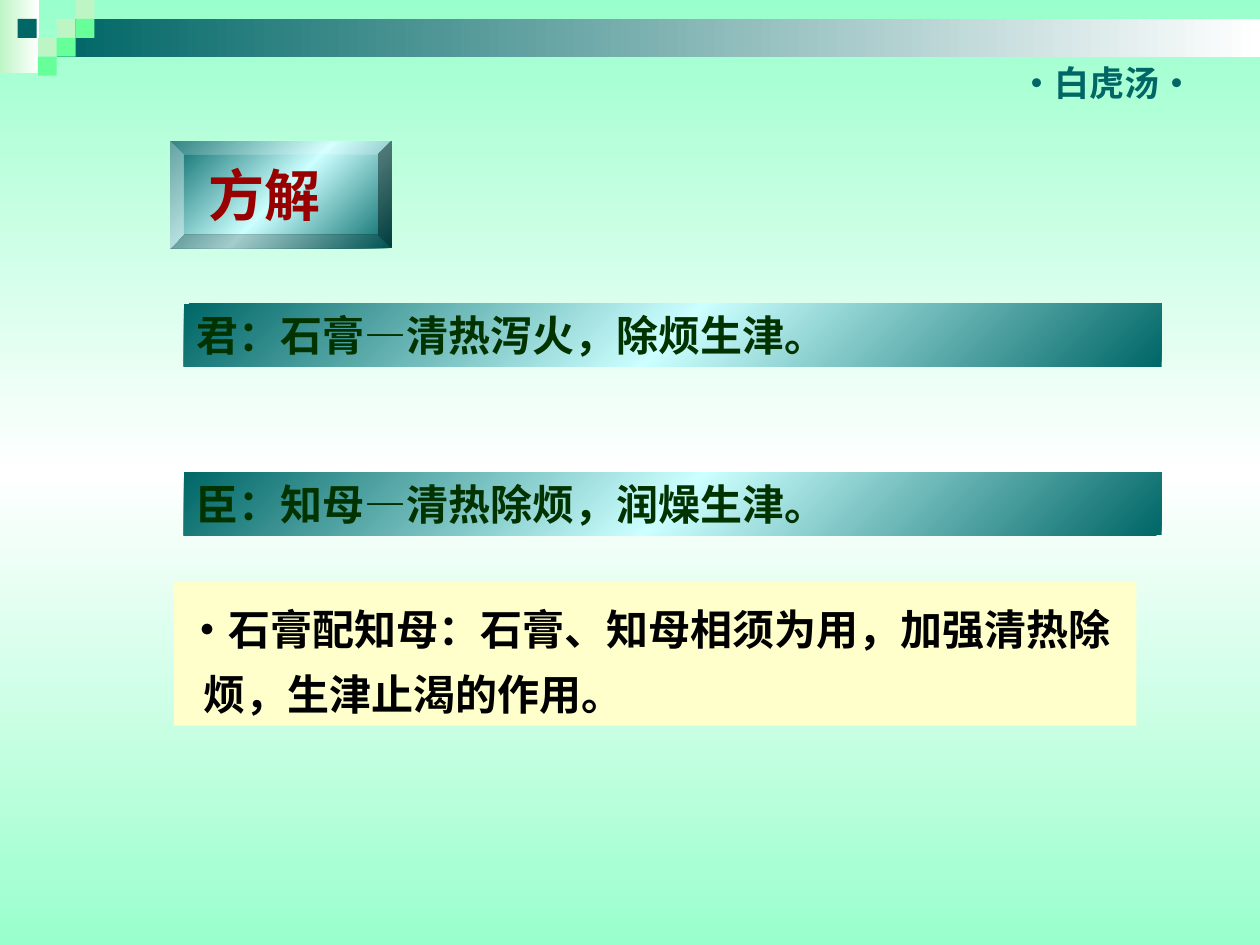
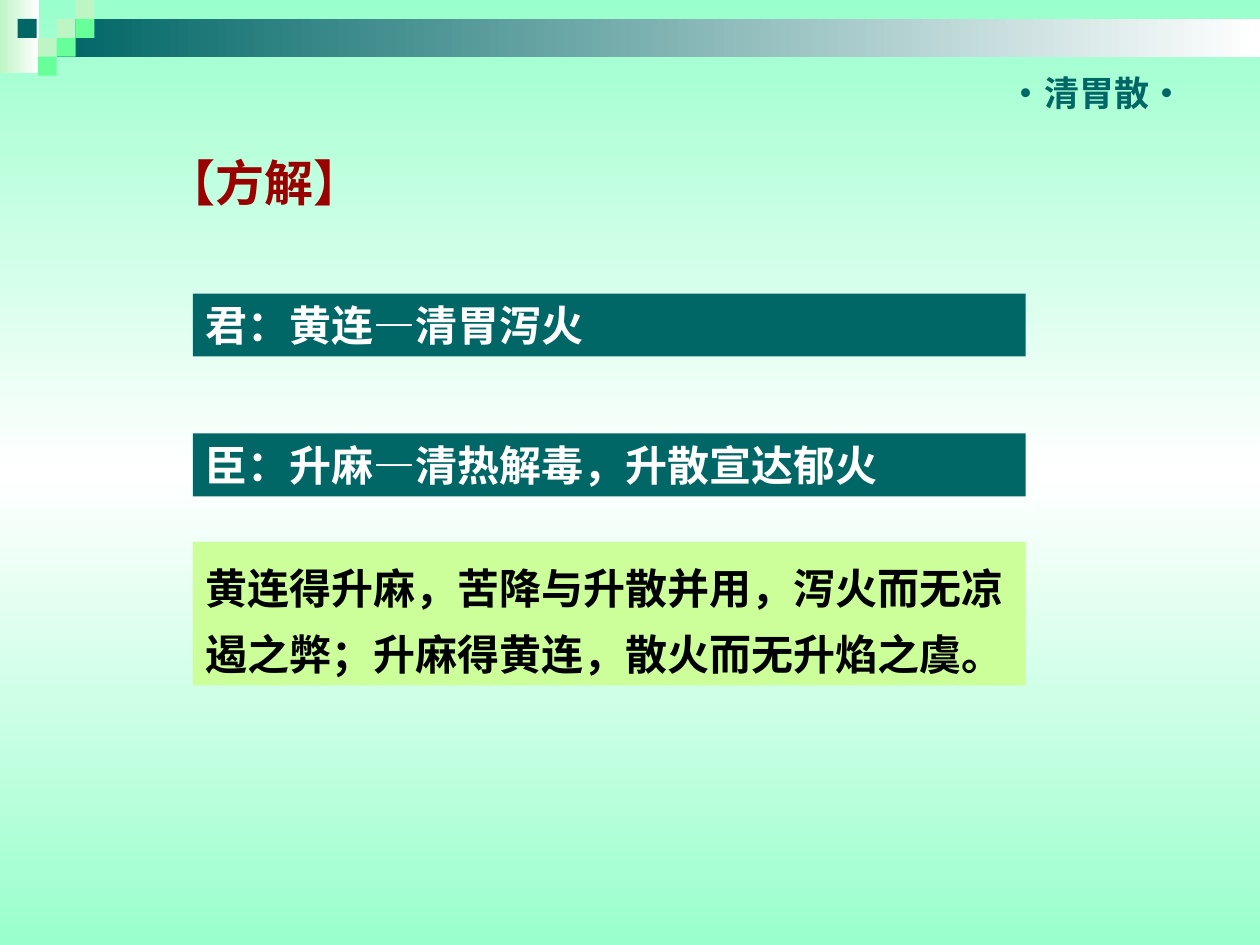
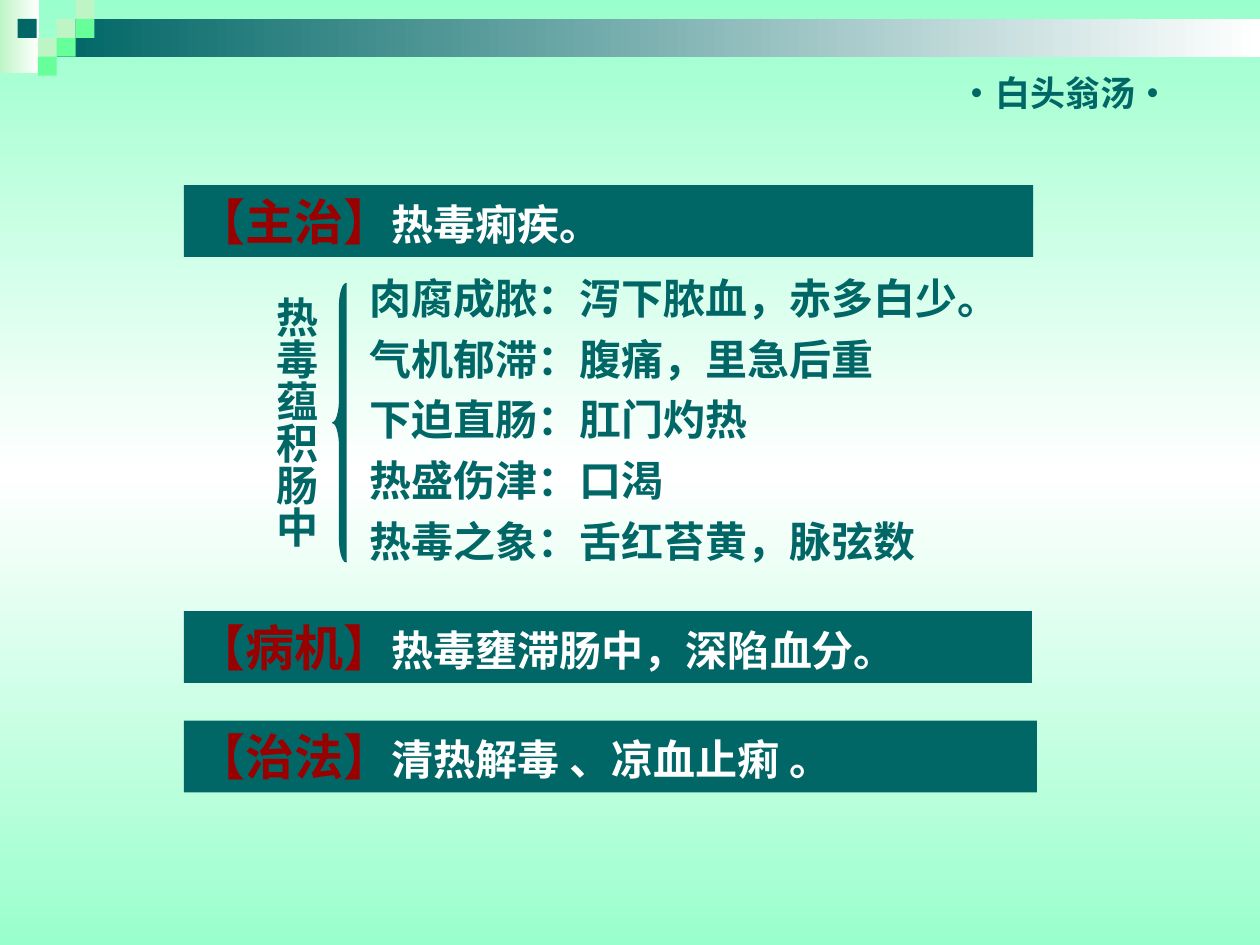
"""Build three slides explaining classical herbal formulas."""
from copy import deepcopy
from dataclasses import dataclass

from pptx import Presentation
from pptx import util as u
from pptx.dml import color
from pptx.enum import shapes, text
from pptx.oxml import ns
from lxml import etree

PX = 9144
FONT = "Noto Sans CJK SC"
TEAL, MINT, PALE, GREEN = "006666", "99FFCC", "BDF5C5", "66FF99"
RED, WHITE, BLACK, FOREST = "990000", "FFFFFF", "000000", "003300"
METAL = (TEAL, "CCFFFF", TEAL)
RECTANGLE = shapes.MSO_SHAPE.RECTANGLE
CELL = 15
CHECKER = ((3, 1, PALE), (4, 0, PALE), (4, 1, GREEN), (2, 2, PALE), (3, 2, GREEN), (2, 3, GREEN))


@dataclass(frozen=True)
class Box:
    """A rectangle on the slide, in px."""
    left: int
    top: int
    width: int
    height: int

    def emu(self) -> tuple:
        """Return the rectangle in EMU."""
        return tuple(value * PX for value in (self.left, self.top, self.width, self.height))


@dataclass(frozen=True)
class HeadedBar:
    """A teal bar with a red heading and a white statement."""
    box: Box
    heading: str
    statement: str


HEADED_BARS = (
    HeadedBar(Box(146, 147, 674, 57), "【主治】", "热毒痢疾。"),
    HeadedBar(Box(146, 485, 673, 57), "【病机】", "热毒壅滞肠中，深陷血分。"),
    HeadedBar(Box(146, 572, 677, 57), "【治法】", "清热解毒 、凉血止痢 。"),
)
SYMPTOMS = (
    "肉腐成脓：泻下脓血，赤多白少。",
    "气机郁滞：腹痛，里急后重",
    "下迫直肠：肛门灼热",
    "热盛伤津：口渴",
    "热毒之象：舌红苔黄，脉弦数",
)


def rgb(value: str) -> color.RGBColor:
    """Turn a hex string into a colour."""
    return color.RGBColor.from_string(value)


def paint(fill, colours: tuple, angle: int = 0) -> None:
    """Apply one solid colour or an evenly spaced clockwise gradient."""
    if len(colours) == 1:
        fill.solid()
        fill.fore_color.rgb = rgb(colours[0])
        return
    fill.gradient()
    fill.gradient_angle = -angle % 360
    stops = fill.gradient_stops[0]._gs.getparent()
    for _ in colours[2:]:
        stops.append(deepcopy(stops[0]))
    for index, (stop, colour) in enumerate(zip(fill.gradient_stops, colours)):
        stop.color.rgb = rgb(colour)
        stop.position = index / (len(colours) - 1)


def add_block(slide, box: Box, *colours: str, angle: int = 0, preset=RECTANGLE):
    """Add a filled preset shape without outline or shadow."""
    shape = slide.shapes.add_shape(preset, *box.emu())
    shape.shadow.inherit = False
    shape.line.fill.background()
    paint(shape.fill, colours, angle)
    return shape


def add_run(paragraph, content: str, *, size: int, colour: str, font: str = FONT) -> None:
    """Append bold text in the given format."""
    run = paragraph.add_run()
    run.text = content
    run.font.size = u.Pt(size)
    run.font.bold = True
    run.font.color.rgb = rgb(colour)
    run.font.name = font
    east_asian = etree.SubElement(run._r.get_or_add_rPr(), ns.qn("a:ea"))
    east_asian.set("typeface", FONT)


def write(shape, *lines: str, size: int = 24, colour: str = WHITE, font: str = FONT,
          leading: float = 1.2, before: int = 0, indents: tuple = (),
          align=text.PP_ALIGN.LEFT, anchor=text.MSO_ANCHOR.TOP, wrap: bool = True):
    """Fill a shape with one paragraph per line and return the last paragraph."""
    frame = shape.text_frame
    frame.word_wrap = wrap
    frame.auto_size = text.MSO_AUTO_SIZE.NONE
    frame.vertical_anchor = anchor
    for index, line in enumerate(lines):
        paragraph = frame.add_paragraph() if index else frame.paragraphs[0]
        paragraph.alignment = align
        paragraph.line_spacing = u.Pt(round(size * leading, 1))
        paragraph.space_before = u.Pt(before if index else 0)
        if indents:
            paragraph._p.get_or_add_pPr().set("marL", str(indents[index] * PX))
        add_run(paragraph, line, size=size, colour=colour, font=font)
    return paragraph


def add_formula_name(slide, name: str, box: Box) -> None:
    """Label the slide with the name of its formula."""
    label = slide.shapes.add_textbox(*box.emu())
    write(label, f"·{name}·", size=20, colour=TEAL, wrap=False)


def decorate_master(presentation, slide) -> None:
    """Give the master its background, top band and checker squares."""
    master = presentation.slide_master
    paint(master.background.fill, (MINT, WHITE, MINT), 90)
    decoration = [
        add_block(slide, Box(0, 0, 31, 58), PALE, WHITE),
        add_block(slide, Box(45, 15, 955, 30), TEAL, WHITE),
        add_block(slide, Box(14, 15, CELL, CELL), TEAL),
    ]
    for column, row, colour in CHECKER:
        decoration.append(add_block(slide, Box(column * CELL, row * CELL, CELL, CELL), colour))
    for number, shape in enumerate(decoration, start=100):
        shape.element.nvSpPr.cNvPr.id = number
        master.shapes.element.append(shape.element)


def build_white_tiger(slide) -> None:
    """Explain the roles in the first formula."""
    heading = add_block(slide, Box(135, 112, 176, 85), *METAL, angle=45,
                        preset=shapes.MSO_SHAPE.BEVEL)
    write(heading, "方解", size=32, colour=RED, indents=(10,))
    roles = ("君：石膏—清热泻火，除烦生津。", "臣：知母—清热除烦，润燥生津。")
    for index, role in enumerate(roles):
        bar = add_block(slide, Box(146, 241 + 134 * index, 776, 50), *METAL, angle=45)
        write(bar, role, colour=FOREST)
    pairing = add_block(slide, Box(138, 462, 764, 114), "FFFFCC")
    write(pairing, "·石膏配知母：石膏、知母相须为用，加强清热除", "烦，生津止渴的作用。",
          colour=BLACK, leading=1.56, indents=(0, 14))
    add_formula_name(slide, "白虎汤", Box(799, 44, 173, 44))


def build_stomach_clearing(slide) -> None:
    """Explain the roles in the second formula."""
    title = slide.shapes.title
    title.left, title.top, title.width, title.height = Box(122, 115, 200, 58).emu()
    write(title, "【方解】", size=28, colour=RED, font="Arial", anchor=text.MSO_ANCHOR.MIDDLE)
    roles = ("君：黄连—清胃泻火", "臣：升麻—清热解毒，升散宣达郁火")
    for index, role in enumerate(roles):
        write(add_block(slide, Box(153, 233 + 111 * index, 661, 50), TEAL), role)
    pairing = add_block(slide, Box(153, 430, 661, 114), "CCFF99")
    write(pairing, "黄连得升麻，苦降与升散并用，泻火而无凉遏之弊；升麻得黄连，散火而无升焰之虞。",
          colour=BLACK, font="Arial", leading=1.56)
    add_formula_name(slide, "清胃散", Box(791, 52, 173, 44))


def build_pulsatilla(slide) -> None:
    """Show indications, mechanism and treatment of the third formula."""
    title, body = slide.placeholders
    title.element.getparent().remove(title.element)
    body.left, body.top, body.width, body.height = Box(283, 211, 595, 250).emu()
    write(body, *SYMPTOMS, colour=TEAL, before=6)
    for paragraph in body.text_frame.paragraphs:
        properties = paragraph._p.get_or_add_pPr()
        properties.set("marL", str(38 * PX))
        properties.set("indent", str(-38 * PX))
        etree.SubElement(properties, ns.qn("a:buNone"))

    brace = add_block(slide, Box(264, 225, 11, 221), TEAL, preset=shapes.MSO_SHAPE.LEFT_BRACE)
    brace.adjustments[0] = 1.67
    brace.line.color.rgb = rgb(TEAL)
    brace.line.width = u.Pt(0.75)

    for bar in HEADED_BARS:
        shape = add_block(slide, bar.box, TEAL)
        paragraph = write(shape, bar.heading, size=28, colour=RED)
        add_run(paragraph, bar.statement, size=24, colour=WHITE)

    cause = slide.shapes.add_textbox(*Box(200, 225, 60, 242).emu())
    write(cause, "热毒蕴积肠中", colour=TEAL, align=text.PP_ALIGN.CENTER)
    frame = cause.text_frame
    frame.margin_left = frame.margin_right = 5 * PX
    frame.margin_top = frame.margin_bottom = 10 * PX
    frame._txBody.bodyPr.set("vert", "eaVert")
    add_formula_name(slide, "白头翁汤", Box(752, 52, 212, 44))


def main() -> None:
    """Create and save the presentation."""
    presentation = Presentation()
    presentation.slide_width, presentation.slide_height = 1000 * PX, 750 * PX
    content, title_only, blank = (presentation.slide_layouts[index] for index in (1, 5, 6))
    first = presentation.slides.add_slide(blank)
    decorate_master(presentation, first)
    build_white_tiger(first)
    build_stomach_clearing(presentation.slides.add_slide(title_only))
    build_pulsatilla(presentation.slides.add_slide(content))
    presentation.save("out.pptx")


if __name__ == "__main__":
    main()
